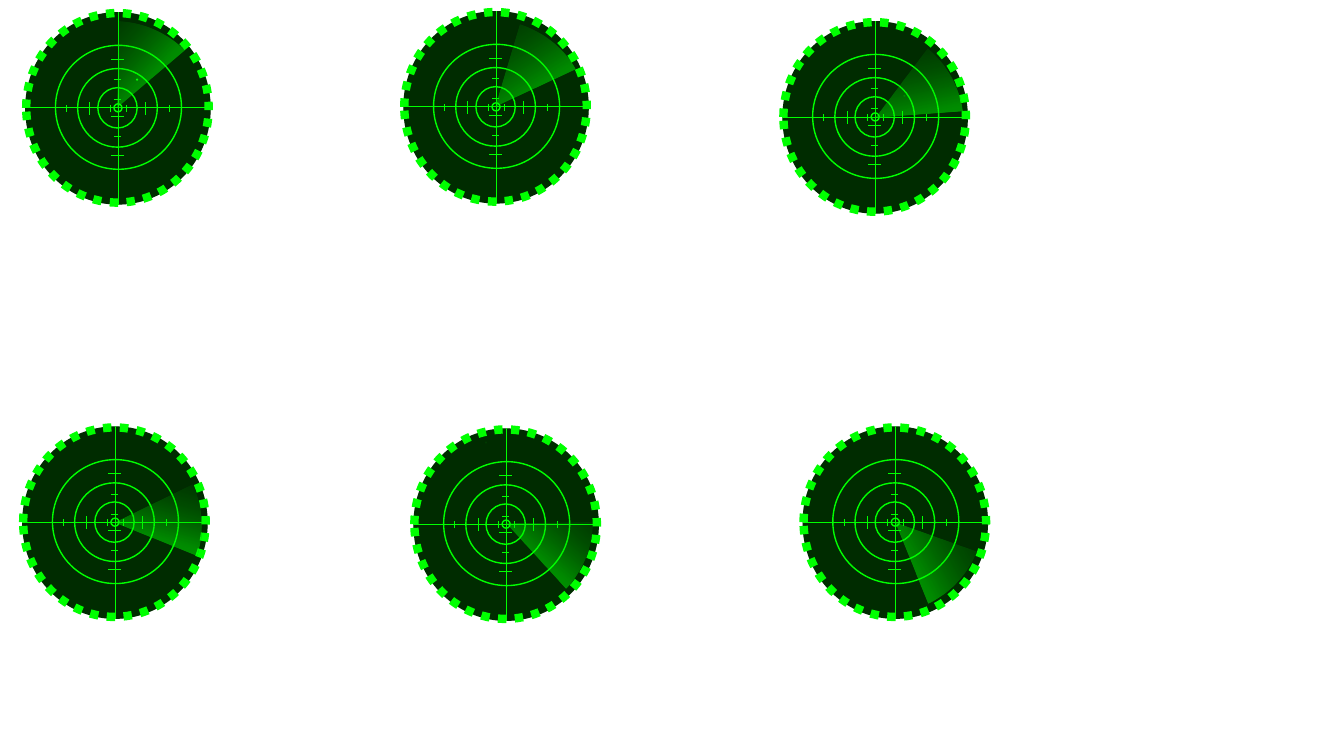
from lxml.etree import SubElement
from pptx import Presentation
from pptx.dml.color import RGBColor
from pptx.enum.dml import MSO_LINE
from pptx.enum.shapes import MSO_CONNECTOR, MSO_SHAPE
from pptx.oxml.ns import qn
from pptx.util import Pt

PX = 9144  # 100 px to the inch
COLORS = {"black": "000000", "tint": "00CC00", "glow": "00FF00",
          "dark": "002D00", "mid": "009800", "leaf": "00C600"}

# Sweep gradient: position, colour, opacity in percent
STOPS = [(0, "dark", 0), (23, "mid", 0), (38, "leaf", 22),
         (51, "glow", 44), (100, "glow", 100)]

# Each radar: left, top, sweep rotation, blip (left, top, opacity)
RADARS = [
    (25, 12, 102.5, (110, 66, 100)),
    (400, 11, 117.7, None),
    (776, 21, 138.8, (120, 73, 20)),
    (22, 423, 165.1, None),
    (410, 425, 190.5, (71, 13, 7)),
    (796, 423, 211.2, None),
]

# Parts, measured from the radar's top left corner
DISC = (0, 0, 184, 191)
RINGS = [(72, 75, 39, 40), (52, 56, 79, 78), (30, 33, 125, 123)]
RIM = (1, 1, 181, 188)
HUB = (88, 91, 8, 8)
SWEEP = (7, 4, 170, 182)
CROSS = [(92, 0, 92, 191), (0, 95, 184, 95)]
TICKS = [(88, y, 95, y) for y in (67, 87, 123)]
TICKS += [(85, y, 98, y) for y in (47, 103, 142)]
TICKS += [(x, 99, x, 92) for x in (41, 84, 100, 143)]
TICKS += [(x, 102, x, 89) for x in (64, 119)]


def add(group, origin, box, kind=MSO_SHAPE.OVAL, fill=None, alpha=100, line=0):
    left, top, wide, high = box
    shape = group.shapes.add_shape(kind, (origin[0] + left) * PX, (origin[1] + top) * PX,
                                   wide * PX, high * PX)
    shape.shadow.inherit = False
    if fill:
        shape.fill.solid()
        shape.fill.fore_color.rgb = RGBColor.from_string(COLORS[fill])
        if alpha < 100:
            color = shape.fill._xPr.find(qn("a:solidFill"))[0]
            SubElement(color, qn("a:alpha"), val=str(alpha * 1000))
    else:
        shape.fill.background()
    if line:
        shape.line.color.rgb = RGBColor.from_string(COLORS["glow"])
        shape.line.width = Pt(line)
    else:
        shape.line.fill.background()
    return shape


def rule(group, origin, ends):
    x, y = origin
    x1, y1, x2, y2 = ends
    link = group.shapes.add_connector(MSO_CONNECTOR.STRAIGHT, (x + x1) * PX, (y + y1) * PX,
                                      (x + x2) * PX, (y + y2) * PX)
    link.line.color.rgb = RGBColor.from_string(COLORS["glow"])
    link.line.width = Pt(0.5)
    SubElement(link._element.spPr, qn("a:effectLst"))


deck = Presentation()
deck.slide_width = 1333 * PX
deck.slide_height = 750 * PX
slide = deck.slides.add_slide(deck.slide_layouts[6])

for left, top, turn, blip in RADARS:
    group = slide.shapes.add_group_shape()
    at = (left, top)

    # Disc and cross hairs
    add(group, at, DISC, fill="black")
    add(group, at, DISC, fill="tint", alpha=22)
    for ends in CROSS:
        rule(group, at, ends)

    # Rings and dotted rim
    for ring in RINGS:
        add(group, at, ring, line=1)
    rim = add(group, at, RIM, line=6)
    rim.line.dash_style = MSO_LINE.ROUND_DOT

    # Ticks and hub
    for ends in TICKS:
        rule(group, at, ends)
    add(group, at, HUB, line=1)

    # Sweep with a fading gradient
    sweep = add(group, at, SWEEP, kind=MSO_SHAPE.PIE)
    sweep.rotation = turn
    sweep.adjustments[0] = 101.2
    sweep.adjustments[1] = 130.225
    sweep.fill.gradient()
    sweep.fill.gradient_angle = 60
    stops = sweep._element.spPr.find(qn("a:gradFill")).find(qn("a:gsLst"))
    for old in list(stops):
        stops.remove(old)
    for pos, name, alpha in STOPS:
        stop = SubElement(stops, qn("a:gs"), pos=str(pos * 1000))
        color = SubElement(stop, qn("a:srgbClr"), val=COLORS[name])
        SubElement(color, qn("a:alpha"), val=str(alpha * 1000))

    # Blip
    if blip:
        add(group, at, (blip[0], blip[1], 2, 2), fill="glow", alpha=blip[2])

deck.save("out.pptx")
